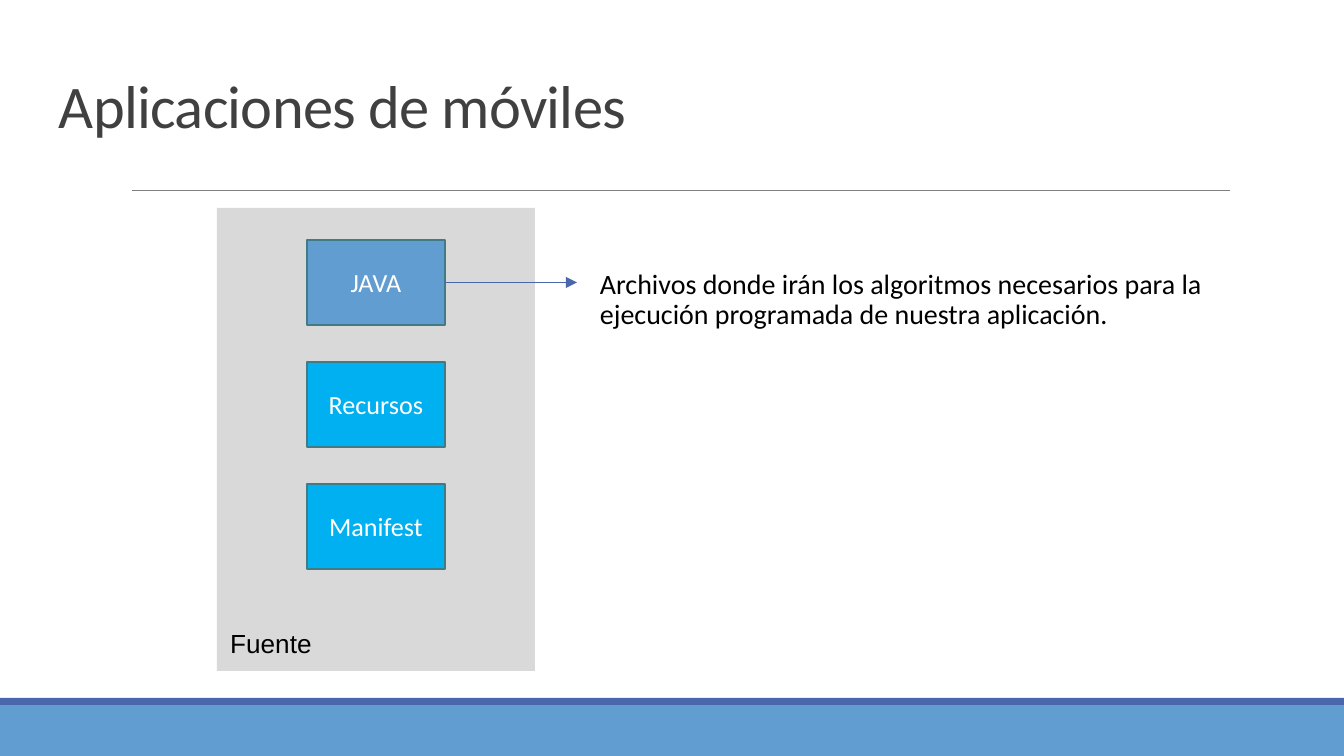
from lxml.etree import SubElement
from pptx import Presentation
from pptx.dml.color import RGBColor
from pptx.enum.shapes import MSO_CONNECTOR as Connector, MSO_SHAPE as Shape
from pptx.enum.text import MSO_ANCHOR as Anchor, MSO_AUTO_SIZE as AutoSize, PP_ALIGN as Align
from pptx.oxml.ns import qn
from pptx.util import Emu, Pt

WIDTH, HEIGHT = 1344, 756
BLUE, INDIGO, CYAN = "629DD1", "4A66AC", "00B0F0"
TOP, LEFT, BOTTOM, RIGHT = range(4)


def px(length):
    """Turn px (134.4 to the inch) into EMU."""
    return Emu(round(length * 914400 / 134.4))


def color(hex_string):
    return RGBColor.from_string(hex_string)


def write(frame, text, size=14, font="Calibri", ink="000000", align=Align.LEFT,
          line_spacing=None, indent=0, tracking=None):
    """Put one formatted paragraph into a text frame."""
    paragraph = frame.paragraphs[0]
    paragraph.alignment = align
    if line_spacing:
        paragraph.line_spacing = line_spacing
    if indent:
        paragraph._p.get_or_add_pPr().set("marL", str(px(indent)))
    run = paragraph.add_run()
    run.text = text
    run.font.size = Pt(size)
    run.font.name = font
    run.font.color.rgb = color(ink)
    if tracking is not None:
        run._r.get_or_add_rPr().set("spc", str(round(tracking * 100)))


class SlideBuilder:
    outline, outline_width = "417B85", 1.25
    box_ink = "FFFFFF"

    def __init__(self, slide):
        self.slide = slide

    def panel(self, x, y, width, height, fill):
        panel = self.slide.shapes.add_shape(Shape.RECTANGLE, px(x), px(y), px(width), px(height))
        panel.shadow.inherit = False
        panel.fill.solid()
        panel.fill.fore_color.rgb = color(fill)
        panel.line.fill.background()
        return panel

    def box(self, x, y, width, height, label, fill):
        """Draw an outlined panel with a centred label."""
        box = self.panel(x, y, width, height, fill)
        box.line.color.rgb = color(self.outline)
        box.line.width = Pt(self.outline_width)
        box.text_frame.vertical_anchor = Anchor.MIDDLE
        box.text_frame.word_wrap = True
        write(box.text_frame, label, ink=self.box_ink, align=Align.CENTER)
        return box

    def text(self, x, y, width, height, content, inset=None, grow=False, **style):
        frame = self.slide.shapes.add_textbox(px(x), px(y), px(width), px(height)).text_frame
        frame.word_wrap = True
        if grow:
            frame.auto_size = AutoSize.SHAPE_TO_FIT_TEXT
        if inset is not None:
            frame.margin_left = frame.margin_right = px(inset)
            frame.margin_top = frame.margin_bottom = px(inset)
        write(frame, content, **style)

    def line(self, x1, y1, x2, y2, ink, width, source=None, arrow=False):
        line = self.slide.shapes.add_connector(Connector.STRAIGHT, px(x1), px(y1), px(x2), px(y2))
        line.line.color.rgb = color(ink)
        line.line.width = Pt(width)
        if source is not None:
            line.begin_connect(source, RIGHT)
        if arrow:
            SubElement(line.line._get_or_add_ln(), qn("a:tailEnd"), type="triangle")
        SubElement(line._element.spPr, qn("a:effectLst"))


def main():
    deck = Presentation()
    deck.slide_width, deck.slide_height = px(WIDTH), px(HEIGHT)
    builder = SlideBuilder(deck.slides.add_slide(deck.slide_layouts[6]))

    builder.panel(0, 705, WIDTH, 51, BLUE)
    builder.panel(0, 698, WIDTH, 7, INDIGO)
    builder.line(132, 191, 1230, 191, "808080", 0.5)
    builder.text(46, 66, 1253, 85, "Aplicaciones de móviles", inset=13, size=32.4,
                 ink="404040", line_spacing=0.85, tracking=-0.4)
    builder.text(571, 257, 722, 85,
                 "Archivos donde irán los algoritmos necesarios para la "
                 "ejecución programada de nuestra aplicación.",
                 inset=13, size=15, line_spacing=0.9, indent=16)

    builder.panel(217, 208, 318, 463, "D9D9D9")
    box_x, box_y, box_width, box_height, pitch = 307, 240, 138, 85, 122
    components = [("JAVA", BLUE), ("Recursos", CYAN), ("Manifest", CYAN)]
    boxes = [builder.box(box_x, box_y + row * pitch, box_width, box_height, label, fill)
             for row, (label, fill) in enumerate(components)]
    builder.text(217, 621, 218, 46, "Fuente", grow=True, font="Arial")

    arrow_y = box_y + box_height / 2
    builder.line(box_x + box_width, arrow_y, 577, arrow_y, INDIGO, 1,
                 source=boxes[0], arrow=True)

    deck.save("out.pptx")


if __name__ == "__main__":
    main()
